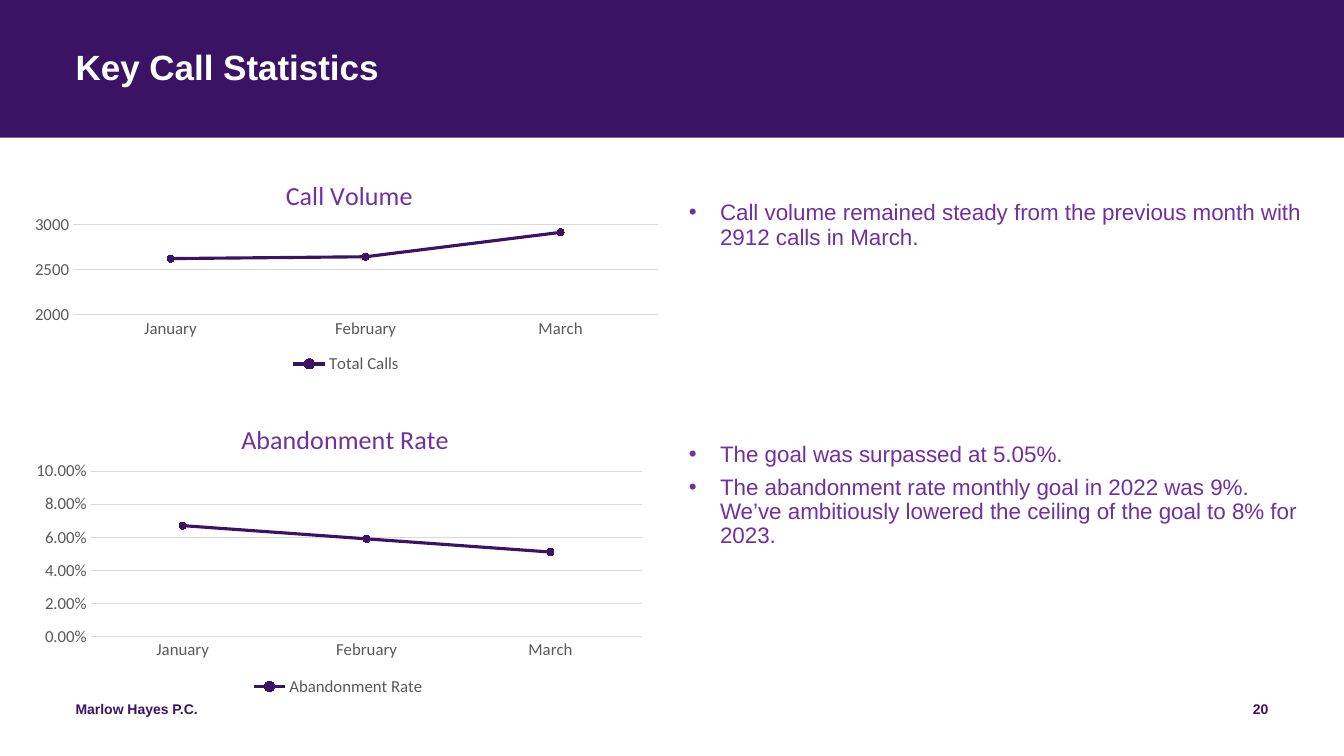
from dataclasses import dataclass

from lxml import etree
from pptx import Presentation
from pptx.chart.data import CategoryChartData
from pptx.dml.color import RGBColor
from pptx.enum.chart import XL_CHART_TYPE, XL_LEGEND_POSITION, XL_MARKER_STYLE, XL_TICK_MARK
from pptx.enum.shapes import MSO_SHAPE
from pptx.enum.text import MSO_ANCHOR, MSO_AUTO_SIZE, PP_ALIGN
from pptx.oxml import parse_xml
from pptx.oxml.ns import nsdecls, qn
from pptx.util import Emu, Inches, Pt


@dataclass(frozen=True)
class Theme:
    deep: str = "3B1365"
    violet: str = "7030A0"
    white: str = "FFFFFF"
    label: str = "595959"
    grid: str = "D9D9D9"
    text_font: str = "Arial"
    chart_font: str = "Calibri"
    title_size: float = 25
    body_size: float = 16
    footer_size: float = 10
    chart_title_size: float = 18.6
    label_size: float = 12


COLUMNS, ROWS = 160, 90
CELL = Inches(1 / 12)


def cells(*counts):
    """Turn grid cells into lengths."""
    return [Emu(round(count * CELL)) for count in counts]


def style_font(font, face, size, color, bold=False):
    font.name, font.size, font.bold = face, Pt(size), bold
    font.color.rgb = RGBColor.from_string(color)


def write_text(frame, paragraphs, *, face, size, color, bold=False,
               align=PP_ALIGN.LEFT, line=None, after=0, bullet=None):
    frame.word_wrap = True
    frame.auto_size = MSO_AUTO_SIZE.NONE
    frame.vertical_anchor = MSO_ANCHOR.TOP
    frame.margin_left = frame.margin_right = frame.margin_top = frame.margin_bottom = 0
    for index, words in enumerate(paragraphs):
        paragraph = frame.add_paragraph() if index else frame.paragraphs[0]
        paragraph.alignment = align
        paragraph.line_spacing = line
        paragraph.space_before, paragraph.space_after = Pt(0), Pt(after)
        if bullet:
            properties = paragraph._p.get_or_add_pPr()
            indent = Inches(0.31)
            properties.set("marL", str(indent))
            properties.set("indent", str(-indent))
            etree.SubElement(properties, qn("a:buFont"), typeface=face)
            etree.SubElement(properties, qn("a:buChar"), char=bullet)
        run = paragraph.add_run()
        run.text = words
        style_font(run.font, face, size, color, bold)


def chart_layout(inner=False, **shares):
    """Place a chart part by shares of the chart's size."""
    target = '<c:layoutTarget val="inner"/>' if inner else ""
    modes = "".join(f'<c:{axis}Mode val="edge"/>' for axis in "xy")
    sizes = "".join(f'<c:{key} val="{share}"/>' for key, share in shares.items())
    return parse_xml(f'<c:layout {nsdecls("c")}><c:manualLayout>{target}{modes}{sizes}'
                     '</c:manualLayout></c:layout>')


class SlideBuilder:
    def __init__(self, slide, theme):
        self.slide, self.theme = slide, theme

    def band(self, height):
        band = self.slide.shapes.add_shape(MSO_SHAPE.RECTANGLE, *cells(0, 0, COLUMNS, height))
        band.shadow.inherit = False
        band.fill.solid()
        band.fill.fore_color.rgb = RGBColor.from_string(self.theme.deep)
        band.line.fill.background()
        # Behind the title
        self.slide.shapes._spTree.insert(2, band._element)

    def title(self, words, place):
        title = self.slide.shapes.title
        title.left, title.top, title.width, title.height = cells(*place)
        write_text(title.text_frame, [words], face=self.theme.text_font,
                   size=self.theme.title_size, color=self.theme.white, bold=True, line=0.9)

    def text(self, paragraphs, place, **style):
        box = self.slide.shapes.add_textbox(*cells(*place))
        write_text(box.text_frame, paragraphs, face=self.theme.text_font, after=6, **style)

    def bullets(self, paragraphs, place):
        self.text(paragraphs, place, size=self.theme.body_size, color=self.theme.violet,
                  line=0.9, bullet="•")

    def footer(self, words, place, align=PP_ALIGN.LEFT):
        self.text([words], place, size=self.theme.footer_size, color=self.theme.deep,
                  bold=True, align=align)

    def line_chart(self, heading, name, months, place, *, scale, number_format,
                   heading_at, plot_at):
        theme = self.theme
        chart_data = CategoryChartData(number_format=number_format)
        chart_data.categories = list(months)
        chart_data.add_series(name, list(months.values()))
        chart = self.slide.shapes.add_chart(
            XL_CHART_TYPE.LINE_MARKERS, *cells(*place), chart_data).chart
        style_font(chart.font, theme.chart_font, theme.label_size, theme.label)

        # Heading and legend
        chart.has_title = True
        heading_run = chart.chart_title.text_frame.paragraphs[0].add_run()
        heading_run.text = heading
        style_font(heading_run.font, theme.chart_font, theme.chart_title_size, theme.violet)
        chart.chart_title.include_in_layout = False
        title_xml = chart.chart_title._element
        for old in title_xml.findall(qn("c:layout")):
            title_xml.remove(old)
        title_xml.find(qn("c:tx")).addnext(chart_layout(**heading_at))
        chart.has_legend = True
        chart.legend.position = XL_LEGEND_POSITION.BOTTOM
        chart.legend.include_in_layout = False

        # Axes
        for axis in (chart.category_axis, chart.value_axis):
            axis.major_tick_mark = axis.minor_tick_mark = XL_TICK_MARK.NONE
            style_font(axis.tick_labels.font, theme.chart_font, theme.label_size, theme.label)
        values = chart.value_axis
        values.minimum_scale, values.maximum_scale, values.major_unit = scale
        values.tick_labels.number_format = number_format
        values.tick_labels.number_format_is_linked = False
        values.format.line.fill.background()
        for line in (chart.category_axis.format.line, values.major_gridlines.format.line):
            line.color.rgb = RGBColor.from_string(theme.grid)
            line.width = Pt(0.75)

        # Plot and series
        plot_area = chart._chartSpace.chart.plotArea
        for old in plot_area.findall(qn("c:layout")):
            plot_area.remove(old)
        plot_area.insert(0, chart_layout(inner=True, **plot_at))
        chart.plots[0].vary_by_categories = False
        series = chart.plots[0].series[0]
        series.smooth = False
        series.format.line.width = Pt(2.25)
        series.marker.style, series.marker.size = XL_MARKER_STYLE.CIRCLE, 5
        series.marker.format.fill.solid()
        deep = RGBColor.from_string(theme.deep)
        for color in (series.format.line.color, series.marker.format.line.color,
                      series.marker.format.fill.fore_color):
            color.rgb = deep


def main():
    presentation = Presentation()
    presentation.slide_width, presentation.slide_height = cells(COLUMNS, ROWS)
    title_only = presentation.slide_layouts[5]
    page = SlideBuilder(presentation.slides.add_slide(title_only), Theme())

    # Header
    page.band(16.4)
    page.title("Key Call Statistics", (9, 6, 142, 9.7))

    # Call volume
    page.line_chart(
        "Call Volume", "Total Calls", {"January": 2620, "February": 2640, "March": 2910},
        (2.5, 18.1, 77.4, 26.9), scale=(2000, 3000, 500), number_format="General",
        heading_at=dict(x=0.4, y=0.09), plot_at=dict(x=0.08, y=0.32, w=0.9, h=0.4))
    page.bullets(
        ["Call volume remained steady from the previous month with 2912 calls in March."],
        (82, 24, 74, 18.8))

    # Abandonment rate
    page.line_chart(
        "Abandonment Rate", "Abandonment Rate",
        {"January": 0.067, "February": 0.059, "March": 0.051},
        (2.5, 47, 75.5, 36.4), scale=(0, 0.1, 0.02), number_format="0.00%",
        heading_at=dict(x=0.34, y=0.07), plot_at=dict(x=0.11, y=0.25, w=0.87, h=0.54))
    page.bullets(
        ["The goal was surpassed at 5.05%.",
         "The abandonment rate monthly goal in 2022 was 9%. We’ve ambitiously lowered "
         "the ceiling of the goal to 8% for 2023."],
        (82, 52.8, 74, 34.4))

    # Footer
    page.footer("Marlow Hayes P.C.", (9, 83.4, 54, 4.8))
    page.footer("20", (115, 83.4, 36, 4.8), PP_ALIGN.RIGHT)

    presentation.save("out.pptx")


if __name__ == "__main__":
    main()
